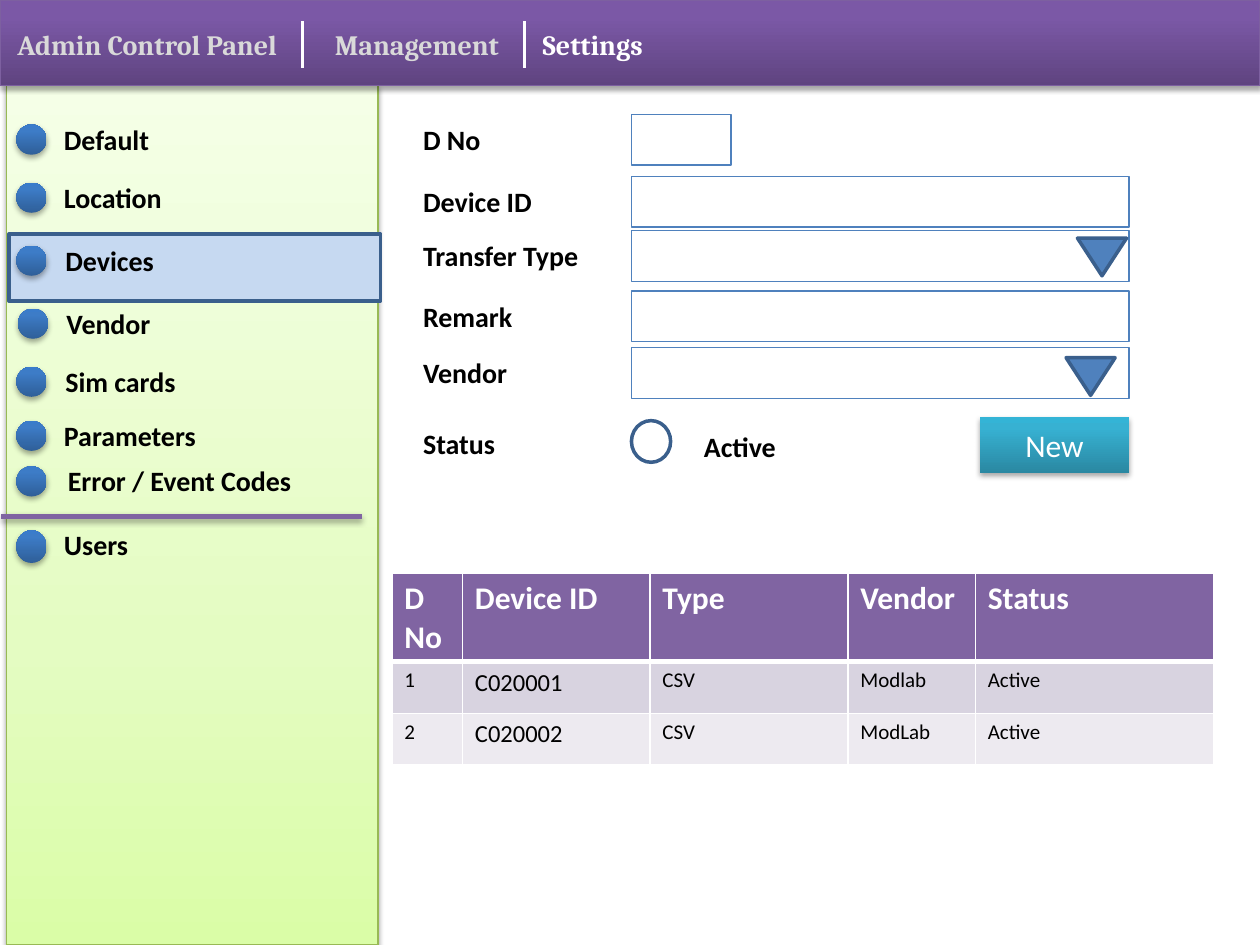
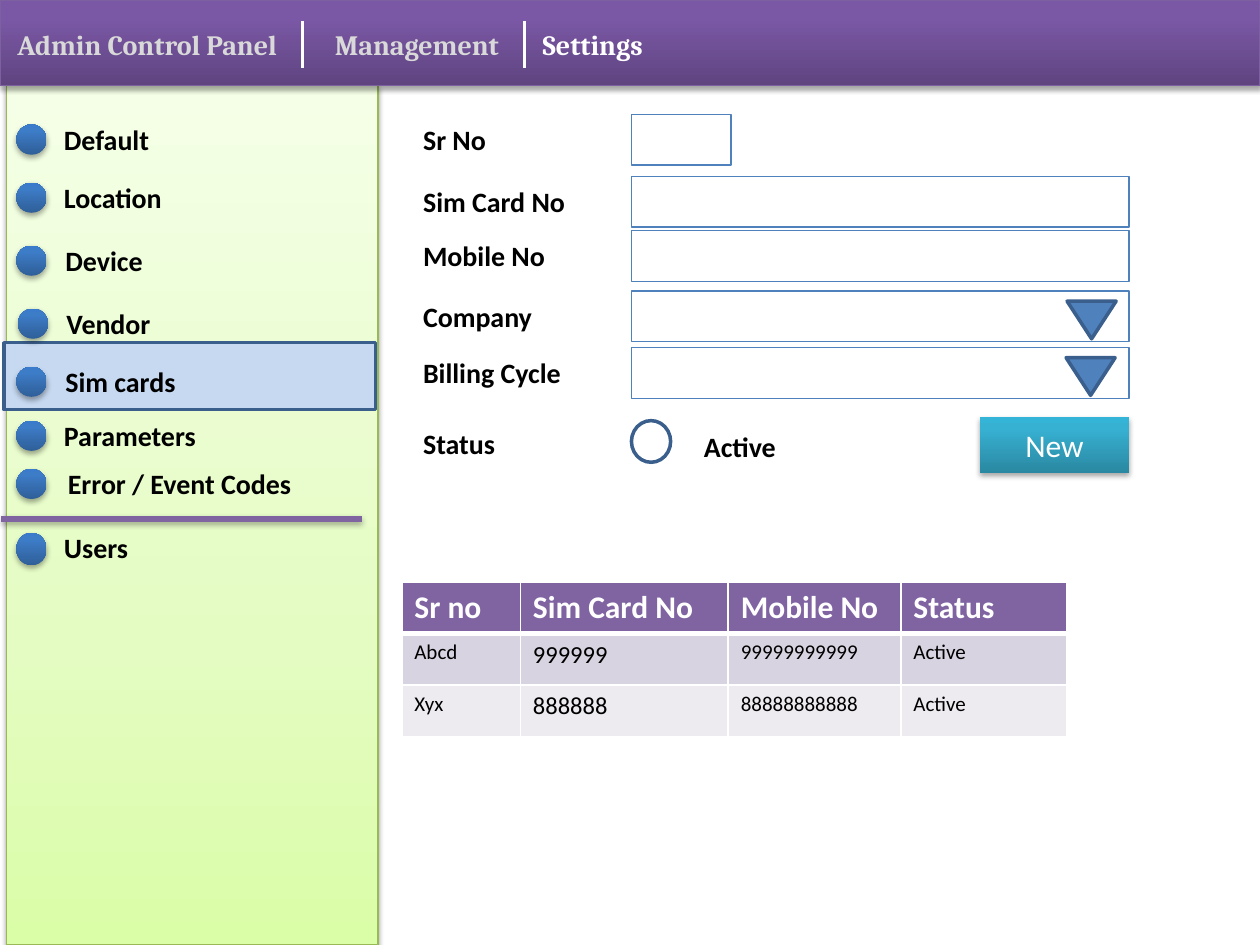
"""Build the two settings screens of a device administration panel."""
from dataclasses import dataclass

from pptx import Presentation
from pptx.dml.color import RGBColor
from pptx.enum.shapes import MSO_CONNECTOR, MSO_SHAPE
from pptx.enum.text import MSO_ANCHOR, MSO_AUTO_SIZE, PP_ALIGN
from pptx.oxml import parse_xml
from pptx.oxml.ns import nsdecls, qn
from pptx.util import Cm, Pt

COLORS = {
    "white": "FFFFFF",
    "black": "000000",
    "inactive_tab": "D9D9D9",
    "purple": "8064A2",
    "header_line": "7D60A0",
    "sidebar_line": "98B955",
    "highlight": "C6D9F1",
    "blue": "4F81BD",
    "dark_blue": "3A5F8C",
    "odd_row": "D8D3E0",
    "even_row": "EDEAF0",
}
GRADIENTS = {
    "sidebar": ((0, "DAFDA7"), (35, "E4FCC2"), (100, "F5FFE7")),
    "header": ((0, "5F4480"), (80, "7B58A6"), (100, "7C57A8")),
    "bullet": ((0, "2F5F99"), (80, "3D7CC7"), (100, "3A7CCB")),
    "button": ((0, "2A88A2"), (80, "37B1D2"), (100, "34B4D6")),
}
HEADER_HEIGHT = 1.73
LABEL_LEFT = 8.28
FIELD_LEFT = 12.73
FIELD_TOPS = (2.31, 3.56, 4.65, 5.87, 7.01)
ROW_HEIGHT = 1.04


@dataclass(frozen=True)
class Box:
    left: float
    top: float
    width: float
    height: float

    def lengths(self) -> tuple:
        return Cm(self.left), Cm(self.top), Cm(self.width), Cm(self.height)


@dataclass(frozen=True)
class Look:
    fill: str = ""
    gradient: str = ""
    line: str = ""
    line_width: float = 0.75
    shadow_alpha: int = 0


@dataclass(frozen=True)
class Tab:
    label: str
    left: float
    width: float
    color: str


@dataclass(frozen=True)
class MenuItem:
    label: str
    top: float
    bullet_left: float = 0.33
    text_left: float = 1.04
    bullet_height: float = 0.61


@dataclass(frozen=True)
class Screen:
    device_label: str
    highlight: Box
    lower_shift: float
    fields: tuple
    arrows: tuple
    table_left: float
    table_top: float
    header_row_height: float
    column_widths: tuple
    rows: tuple


SIDEBAR = Look(gradient="sidebar", line="sidebar_line", shadow_alpha=38)
HEADER = Look(gradient="header", line="header_line", shadow_alpha=35)
BULLET = Look(gradient="bullet", shadow_alpha=35)
BUTTON = Look(gradient="button", shadow_alpha=35)
HIGHLIGHT = Look(fill="highlight", line="dark_blue", line_width=2)
FIELD = Look(line="blue")
RADIO = Look(line="dark_blue", line_width=2)
ARROW = Look(fill="blue", line="dark_blue", line_width=2)

TABS = (
    Tab("Admin Control Panel", 0.1, 6.4, "inactive_tab"),
    Tab("Management", 6.5, 3.99, "inactive_tab"),
    Tab("Settings", 10.69, 3.99, "white"),
)
TAB_DIVIDERS = (6.1, 10.57)

SCREENS = (
    Screen(
        "Devices", Box(0.18, 4.72, 7.49, 1.35), 0,
        ("D No", "Device ID", "Transfer Type", "Remark", "Vendor"),
        ((21.72, 4.8), (21.49, 7.21)),
        7.9, 11.56, 1.75, (1.42, 3.78, 3.99, 2.57, 4.8),
        (
            ("D No", "Device ID", "Type", "Vendor", "Status"),
            ("1", "C020001", "CSV", "Modlab", "Active"),
            ("2", "C020002", "CSV", "ModLab", "Active"),
        ),
    ),
    Screen(
        "Device", Box(0.08, 6.91, 7.49, 1.35), 0.05,
        ("Sr No", "Sim Card No", "Mobile No", "Company", "Billing Cycle"),
        ((21.51, 6.07), (21.49, 7.21)),
        8.1, 11.73, ROW_HEIGHT, (2.39, 4.19, 3.48, 3.35),
        (
            ("Sr no", "Sim Card No", "Mobile No", "Status"),
            ("Abcd", "999999", "99999999999", "Active"),
            ("Xyx", "888888", "88888888888", "Active"),
        ),
    ),
)


def rgb(name: str) -> RGBColor:
    return RGBColor.from_string(COLORS[name])


def set_effects(shape, alpha: int) -> None:
    shadow = ""
    if alpha:
        shadow = (
            '<a:outerShdw blurRad="40000" dist="22000" dir="5400000" rotWithShape="0">'
            f'<a:srgbClr val="{COLORS["black"]}"><a:alpha val="{alpha * 1000}"/>'
            "</a:srgbClr></a:outerShdw>"
        )
    effects = parse_xml(f'<a:effectLst {nsdecls("a")}>{shadow}</a:effectLst>')
    shape._element.spPr.append(effects)


def set_gradient(shape, name: str) -> None:
    shape.fill.gradient()
    shape.fill.gradient_angle = 90
    stops = shape._element.spPr.find(qn("a:gradFill")).find(qn("a:gsLst"))
    for stop in list(stops):
        stops.remove(stop)
    for position, color in GRADIENTS[name]:
        stops.append(parse_xml(
            f'<a:gs {nsdecls("a")} pos="{position * 1000}"><a:srgbClr val="{color}"/></a:gs>'
        ))


def add_figure(slide, preset: MSO_SHAPE, box: Box, look: Look):
    shape = slide.shapes.add_shape(preset, *box.lengths())
    if look.gradient:
        set_gradient(shape, look.gradient)
    elif look.fill:
        shape.fill.solid()
        shape.fill.fore_color.rgb = rgb(look.fill)
    else:
        shape.fill.background()
    if look.line:
        shape.line.color.rgb = rgb(look.line)
        shape.line.width = Pt(look.line_width)
    else:
        shape.line.fill.background()
    set_effects(shape, look.shadow_alpha)
    return shape


def format_text(text_frame, size: float, color: str, bold: bool, font: str = "Calibri") -> None:
    for paragraph in text_frame.paragraphs:
        for run in paragraph.runs:
            run.font.name = font
            run.font.size = Pt(size)
            run.font.bold = bold
            run.font.color.rgb = rgb(color)


def add_label(slide, text: str, box: Box, color: str = "black", font: str = "Calibri") -> None:
    text_frame = slide.shapes.add_textbox(*box.lengths()).text_frame
    text_frame.word_wrap = True
    text_frame.auto_size = MSO_AUTO_SIZE.SHAPE_TO_FIT_TEXT
    text_frame.text = text
    format_text(text_frame, 16, color, True, font)


def add_line(slide, start: tuple, end: tuple, color: str, width: float, alpha: int = 0) -> None:
    points = [Cm(value) for value in start + end]
    connector = slide.shapes.add_connector(MSO_CONNECTOR.STRAIGHT, *points)
    connector.line.color.rgb = rgb(color)
    connector.line.width = Pt(width)
    set_effects(connector, alpha)


def add_header(slide) -> None:
    add_figure(slide, MSO_SHAPE.RECTANGLE, Box(0, 0, 25.4, HEADER_HEIGHT), HEADER)
    for tab in TABS:
        add_label(slide, tab.label, Box(tab.left, 0.43, tab.width, 0.94), tab.color, "Cambria")
    for left in TAB_DIVIDERS:
        add_line(slide, (left, 0.43), (left, 1.37), "white", 1.75)


def add_menu(slide, screen: Screen) -> None:
    shift = screen.lower_shift
    items = (
        MenuItem("Default", 2.51),
        MenuItem("Location", 3.68),
        MenuItem(screen.device_label, 4.95, text_left=1.07),
        MenuItem("Vendor", 6.22, bullet_left=0.36, text_left=1.09),
        MenuItem("Sim cards", 7.39, text_left=1.07),
        MenuItem("Parameters", 8.48),
        MenuItem("Error / Event Codes", 9.4 + shift, text_left=1.12),
        MenuItem("Users", 10.69 + shift, bullet_height=0.66),
    )
    for item in items:
        bullet = Box(item.bullet_left, item.top, 0.61, item.bullet_height)
        add_figure(slide, MSO_SHAPE.OVAL, bullet, BULLET)
        add_label(slide, item.label, Box(item.text_left, item.top - 0.17, 6.2, 0.94))
    add_line(slide, (0.03, 10.41 + shift), (7.29, 10.41 + shift), "purple", 3, 35)


def add_form(slide, screen: Screen) -> None:
    for index, (label, top) in enumerate(zip(screen.fields, FIELD_TOPS)):
        width = 10.03 if index else 2.01
        add_figure(slide, MSO_SHAPE.RECTANGLE, Box(FIELD_LEFT, top, width, 1.02), FIELD)
        add_label(slide, label, Box(LABEL_LEFT, top + 0.04, 4.2, 0.94))
    for left, top in screen.arrows:
        arrow = add_figure(slide, MSO_SHAPE.ISOSCELES_TRIANGLE, Box(left, top, 0.99, 0.76), ARROW)
        arrow.rotation = 180
    add_label(slide, "Status", Box(LABEL_LEFT, 8.48, 3.81, 0.94))
    add_figure(slide, MSO_SHAPE.OVAL, Box(FIELD_LEFT, 8.48, 0.79, 0.84), RADIO)
    add_label(slide, "Active", Box(13.94, 8.53, 3.81, 0.94))
    button = add_figure(slide, MSO_SHAPE.RECTANGLE, Box(19.76, 8.41, 3, 1.12), BUTTON)
    button.text_frame.text = "New"
    button.text_frame.vertical_anchor = MSO_ANCHOR.MIDDLE
    button.text_frame.paragraphs[0].alignment = PP_ALIGN.CENTER
    format_text(button.text_frame, 18, "white", False)


def set_borders(cell, top: int, bottom: int) -> None:
    properties = cell._tc.get_or_add_tcPr()
    for index, (side, width) in enumerate((("L", 1), ("R", 1), ("T", top), ("B", bottom))):
        properties.insert(index, parse_xml(
            f'<a:ln{side} {nsdecls("a")} w="{Pt(width)}"><a:solidFill>'
            f'<a:srgbClr val="{COLORS["white"]}"/></a:solidFill></a:ln{side}>'
        ))


def add_records(slide, screen: Screen) -> None:
    row_count, column_count = len(screen.rows), len(screen.column_widths)
    height = screen.header_row_height + ROW_HEIGHT * (row_count - 1)
    box = Box(screen.table_left, screen.table_top, sum(screen.column_widths), height)
    table = slide.shapes.add_table(row_count, column_count, *box.lengths()).table
    for column, width in zip(table.columns, screen.column_widths):
        column.width = Cm(width)
    for row_index, values in enumerate(screen.rows):
        is_header = row_index == 0
        table.rows[row_index].height = Cm(screen.header_row_height if is_header else ROW_HEIGHT)
        fill = ("purple", "odd_row", "even_row")[row_index]
        for column_index, value in enumerate(values):
            cell = table.cell(row_index, column_index)
            cell.fill.solid()
            cell.fill.fore_color.rgb = rgb(fill)
            set_borders(cell, 3 if row_index == 1 else 1, 3 if is_header else 1)
            cell.text_frame.text = value
            body_size = 14 if column_index == 1 else 12
            format_text(cell.text_frame, 18 if is_header else body_size,
                        "white" if is_header else "black", is_header)


def add_screen(presentation, screen: Screen) -> None:
    slide = presentation.slides.add_slide(presentation.slide_layouts[6])
    sidebar = Box(0.13, HEADER_HEIGHT, 7.49, 19.05 - HEADER_HEIGHT)
    add_figure(slide, MSO_SHAPE.RECTANGLE, sidebar, SIDEBAR)
    add_figure(slide, MSO_SHAPE.RECTANGLE, screen.highlight, HIGHLIGHT)
    add_header(slide)
    add_menu(slide, screen)
    add_form(slide, screen)
    add_records(slide, screen)


def main() -> None:
    presentation = Presentation()
    presentation.slide_width = Cm(25.4)
    presentation.slide_height = Cm(19.05)
    for screen in SCREENS:
        add_screen(presentation, screen)
    presentation.save("out.pptx")


if __name__ == "__main__":
    main()
